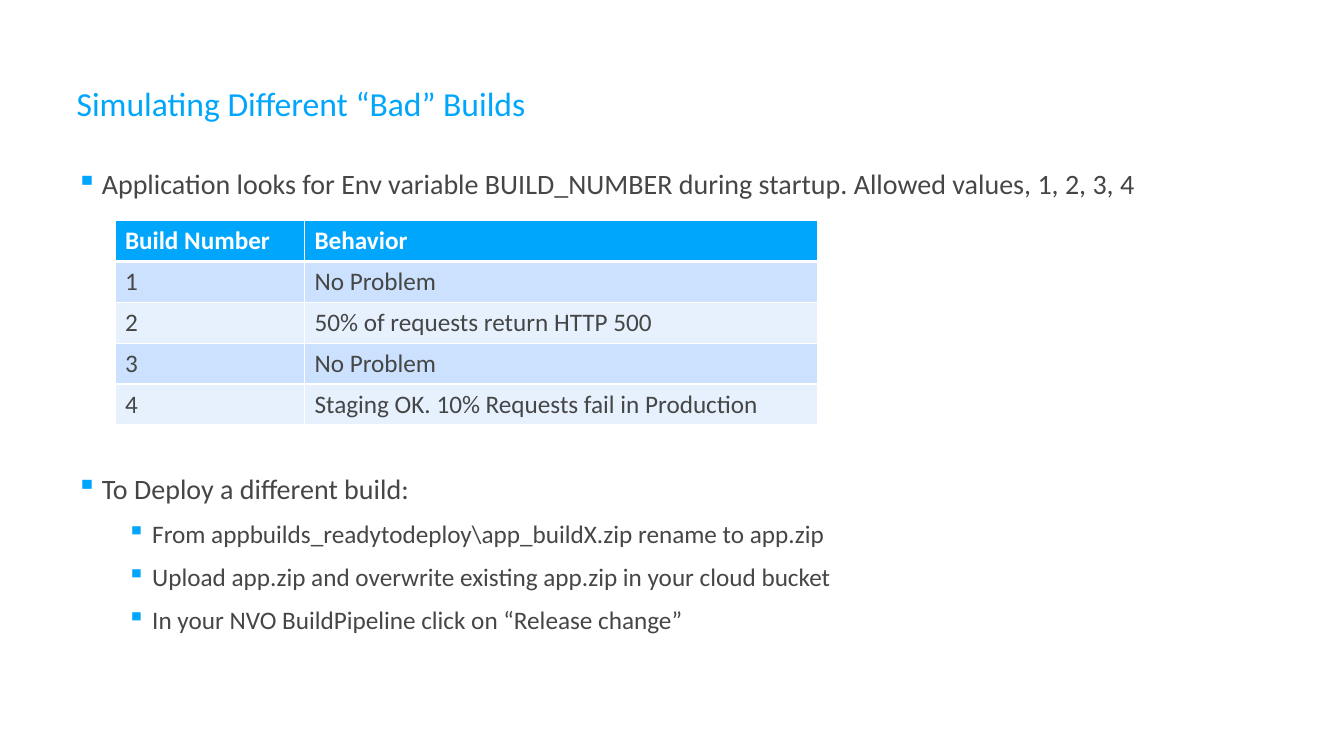
from lxml import etree
from pptx import Presentation
from pptx.dml.color import RGBColor
from pptx.enum.text import MSO_ANCHOR
from pptx.oxml.ns import qn
from pptx.util import Inches, Pt

TOP, MIDDLE = MSO_ANCHOR.TOP, MSO_ANCHOR.MIDDLE
BLUE, GRAY, WHITE = "00A6FB", "454646", "FFFFFF"
BANDS = ("CCE1FD", "E7F1FE")
LEFT, WIDTH = 0.76, 11.78

BUILDS = [
    ("Build Number", "Behavior"),
    ("1", "No Problem"),
    ("2", "50% of requests return HTTP 500"),
    ("3", "No Problem"),
    ("4", "Staging OK. 10% Requests fail in Production"),
]
DEPLOY_STEPS = [
    "From appbuilds_readytodeploy\\app_buildX.zip rename to app.zip",
    "Upload app.zip and overwrite existing app.zip in your cloud bucket",
    "In your NVO BuildPipeline click on “Release change”",
]


def rgb(value):
    """Turn a hex string into a colour."""
    return RGBColor.from_string(value)


def write(paragraph, text, size=18, color=GRAY, bold=False, font="Calibri"):
    """Add formatted text to a paragraph."""
    run = paragraph.add_run()
    run.text = text
    run.font.name = font
    run.font.size = Pt(size)
    run.font.bold = bold
    run.font.color.rgb = rgb(color)


class SlideBuilder:
    """Hold the style and the slide being built."""

    def __init__(self, slide, line_spacing=1.2, bullet="▪"):
        """Keep the slide and its shared text style."""
        self.slide = slide
        self.line_spacing = line_spacing
        self.bullet = bullet

    def text_frame(self, top, height, anchor=TOP):
        """Add a full-width text box without margins."""
        frame = self.slide.shapes.add_textbox(
            Inches(LEFT), Inches(top), Inches(WIDTH), Inches(height)).text_frame
        frame.word_wrap = True
        frame.vertical_anchor = anchor
        frame.margin_left = frame.margin_top = 0
        frame.margin_right = frame.margin_bottom = 0
        return frame

    def title(self, text, top, height):
        """Add the slide title."""
        heading = self.text_frame(top, height, MIDDLE).paragraphs[0]
        heading.line_spacing = self.line_spacing
        write(heading, text, size=24, color=BLUE)

    def bullets(self, lead, top, height, steps=()):
        """Add a lead bullet with steps below it."""
        frame = self.text_frame(top, height)
        self.bullet_line(frame.paragraphs[0], lead, 0.25, 20)
        for step in steps:
            line = frame.add_paragraph()
            line.level = 1
            line.space_before = Pt(5)
            self.bullet_line(line, step, 0.75, 18)

    def bullet_line(self, paragraph, text, indent, size):
        """Format and fill one bulleted paragraph."""
        paragraph.line_spacing = self.line_spacing
        properties = paragraph._p.get_or_add_pPr()
        properties.set("marL", str(Inches(indent)))
        properties.set("indent", str(-Inches(0.25)))
        tint = etree.SubElement(properties, qn("a:buClr"))
        etree.SubElement(tint, qn("a:srgbClr"), val=BLUE)
        etree.SubElement(properties, qn("a:buChar"), char=self.bullet)
        write(paragraph, text, size=size)

    def table(self, rows, left, top, widths, row_height):
        """Add a banded table with a header row."""
        grid = self.slide.shapes.add_table(
            len(rows), len(widths), Inches(left), Inches(top),
            Inches(sum(widths)), Inches(row_height * len(rows))).table
        for column, width in zip(grid.columns, widths):
            column.width = Inches(width)
        for r, row in enumerate(rows):
            grid.rows[r].height = Inches(row_height)
            header = r == 0
            for c, text in enumerate(row):
                cell = grid.cell(r, c)
                cell.fill.solid()
                cell.fill.fore_color.rgb = rgb(BLUE if header else BANDS[(r - 1) % 2])
                write(cell.text_frame.paragraphs[0], text,
                      color=WHITE if header else GRAY, bold=header)
                self.borders(cell, top=3 if r == 1 else 1, bottom=3 if header else 1)

    def borders(self, cell, top, bottom):
        """Draw white borders around a cell."""
        properties = cell._tc.get_or_add_tcPr()
        sides = (("L", 1), ("R", 1), ("T", top), ("B", bottom))
        for position, (side, width) in enumerate(sides):
            line = etree.Element(qn(f"a:ln{side}"), w=str(Pt(width)))
            fill = etree.SubElement(line, qn("a:solidFill"))
            etree.SubElement(fill, qn("a:srgbClr"), val=WHITE)
            properties.insert(position, line)


def main():
    """Build and save the slide."""
    deck = Presentation()
    deck.slide_width, deck.slide_height = Inches(13.33), Inches(7.5)
    builder = SlideBuilder(deck.slides.add_slide(deck.slide_layouts[6]))
    builder.title("Simulating Different “Bad” Builds", 0.62, 0.73)
    builder.bullets("Application looks for Env variable BUILD_NUMBER during startup. "
                    "Allowed values, 1, 2, 3, 4", 1.59, 0.53)
    builder.table(BUILDS, 1.14, 2.19, (1.88, 5.09), 0.405)
    builder.bullets("To Deploy a different build:", 4.61, 1.85, DEPLOY_STEPS)
    deck.save("out.pptx")


if __name__ == "__main__":
    main()
